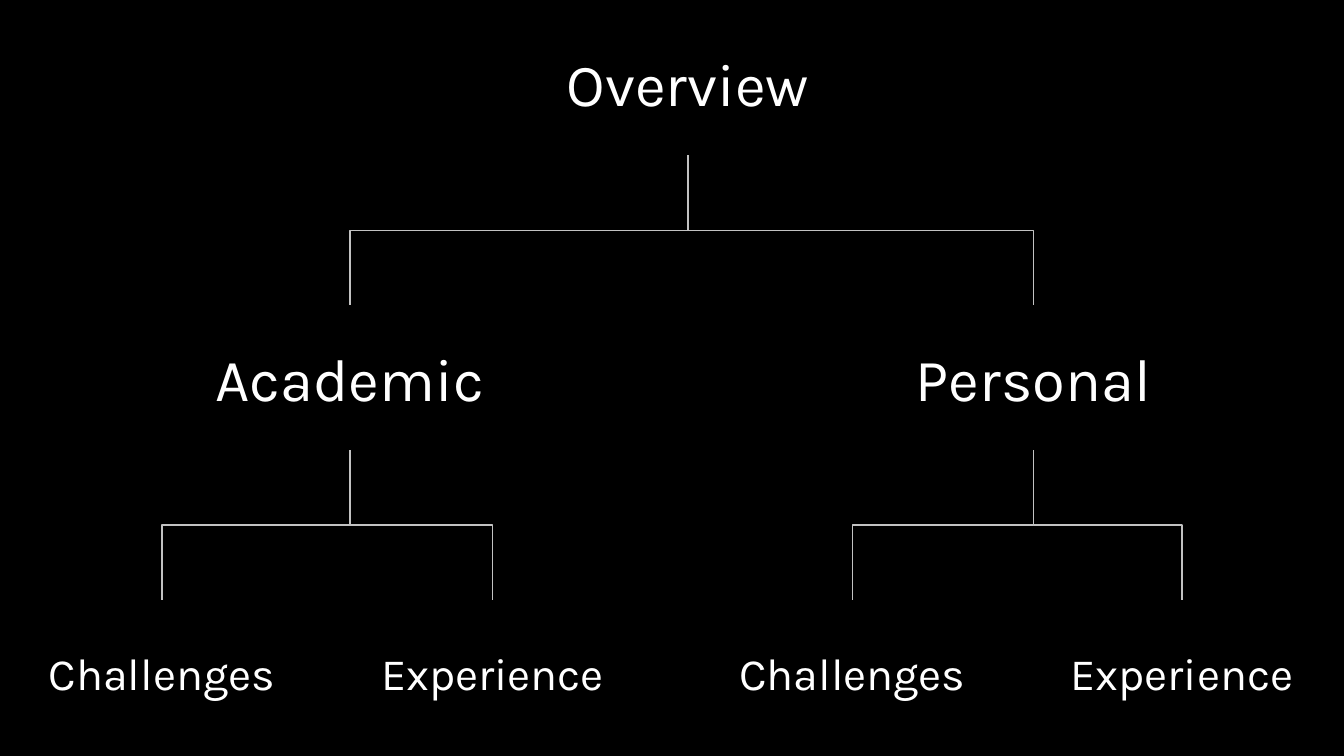
from lxml import etree
from pptx import Presentation
from pptx.dml.color import RGBColor as RGB
from pptx.enum.shapes import MSO_CONNECTOR as CONN, MSO_SHAPE as SHAPE
from pptx.enum.text import MSO_ANCHOR as ANCHOR, PP_ALIGN as ALIGN
from pptx.oxml.ns import qn
from pptx.util import Cm, Pt

COLORS = {"back": "000000", "text": "FFFFFF", "line": "C2C2C2"}
TOP, ROW_PITCH, BOX_H = 0.2, 5.57, 2.74
SIZES = [32, 32, 24]

prs = Presentation()
prs.slide_width, prs.slide_height = Cm(25.4), Cm(14.29)
s = prs.slides.add_slide(prs.slide_layouts[6])
s.background.fill.solid()
s.background.fill.fore_color.rgb = RGB.from_string(COLORS["back"])

# label, level, left, width, parent index
nodes = [
    ("Overview", 0, 9.88, 6.25, None),
    ("Personal", 1, 16.41, 6.25, 0),
    ("Academic", 1, 3.35, 6.53, 0),
    ("Challenges", 2, 0.23, 5.66, 2),
    ("Experience", 2, 6.48, 5.66, 2),
    ("Challenges", 2, 13.28, 5.66, 1),
    ("Experience", 2, 19.51, 5.66, 1),
]

boxes = []
for label, level, left, width, parent in nodes:
    sp = s.shapes.add_shape(SHAPE.ROUNDED_RECTANGLE, Cm(left), Cm(TOP + level * ROW_PITCH),
                            Cm(width), Cm(BOX_H))
    sp.adjustments[0] = 0.5
    sp.shadow.inherit = False
    sp.fill.solid()
    sp.fill.fore_color.rgb = RGB.from_string(COLORS["back"])
    sp.line.fill.background()
    tf = sp.text_frame
    tf.word_wrap = True
    tf.vertical_anchor = ANCHOR.MIDDLE
    tf.margin_left = tf.margin_right = tf.margin_top = tf.margin_bottom = Cm(0.25)
    p = tf.paragraphs[0]
    p.text = label
    p.alignment = ALIGN.CENTER
    p.font.name = "Karla"
    p.font.size = Pt(SIZES[level])
    p.font.color.rgb = RGB.from_string(COLORS["text"])
    boxes.append(sp)

for child, (label, level, left, width, parent) in zip(boxes, nodes):
    if parent is None:
        continue
    top_box = boxes[parent]
    x1, y1 = top_box.left + top_box.width // 2, top_box.top + top_box.height
    x2, y2 = child.left + child.width // 2, child.top
    cn = s.shapes.add_connector(CONN.ELBOW, x1, y1, x2, y2)
    cn.begin_connect(top_box, 2)
    cn.end_connect(child, 0)
    cn.width, cn.height = y2 - y1, abs(x2 - x1)
    cn.left = (x1 + x2 - cn.width) // 2
    cn.top = (y1 + y2 - cn.height) // 2
    xfrm = cn._element.spPr.find(qn("a:xfrm"))
    xfrm.set("rot", str((270 if x2 > x1 else 90) * 60000))
    xfrm.set("flipH", "1" if x2 > x1 else "0")
    cn.line.color.rgb = RGB.from_string(COLORS["line"])
    cn.line.width = Pt(0.75)
    etree.SubElement(cn._element.spPr, qn("a:effectLst"))

prs.save("out.pptx")
